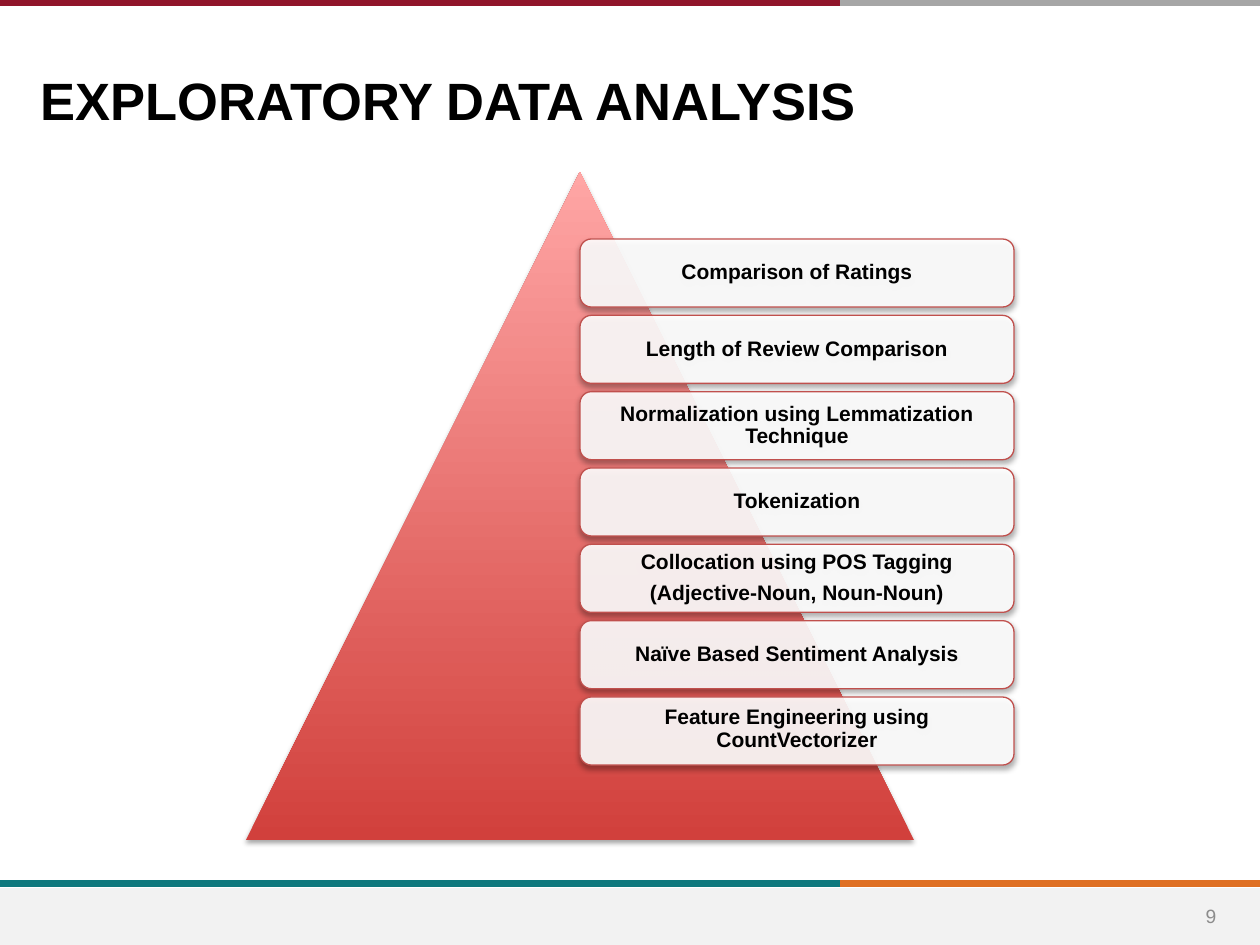
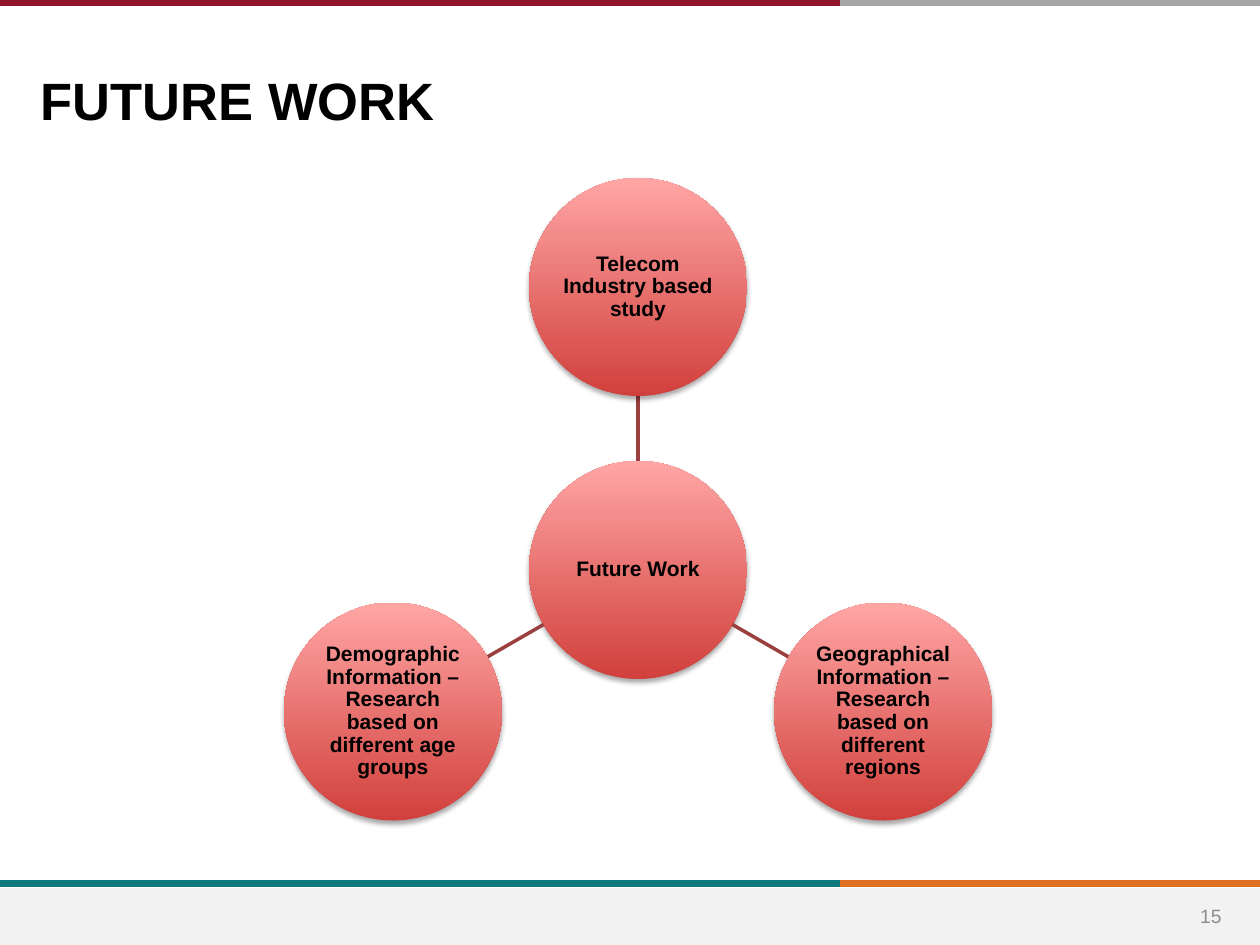
"""Build two analysis slides: a pyramid of steps and a wheel of future work."""
import dataclasses
import math

import lxml.etree
import pptx
import pptx.dml.color
import pptx.enum.shapes
import pptx.enum.text
import pptx.oxml.ns
import pptx.util

PX = 914400 / 126
SLIDE_SIZE = (1260, 945)
SHAPES = pptx.enum.shapes.MSO_SHAPE
ANCHOR = pptx.enum.text.MSO_ANCHOR
ALIGN = pptx.enum.text.PP_ALIGN


@dataclasses.dataclass(frozen=True)
class Theme:
    font: str = "Arial"
    title_size: int = 30
    label_size: int = 12
    number_size: int = 11
    ink: str = "000000"
    number_ink: str = "8C8C8C"
    footer: str = "F2F2F2"
    crimson: str = "90152A"
    grey: str = "A6A6A6"
    teal: str = "0F787D"
    orange: str = "DF7023"
    red_deep: str = "D1403C"
    red_light: str = "FFA6A5"
    card: str = "FFFFFF"
    card_edge: str = "C0504D"
    spoke: str = "9A403E"


THEME = Theme()

STEPS = [
    ["Comparison of Ratings"],
    ["Length of Review Comparison"],
    ["Normalization using Lemmatization Technique"],
    ["Tokenization"],
    ["Collocation using POS Tagging", "(Adjective-Noun, Noun-Noun)"],
    ["Naïve Based Sentiment Analysis"],
    ["Feature Engineering using CountVectorizer"],
]

DIRECTIONS = [
    (-90, "Telecom Industry based study"),
    (30, "Geographical Information – Research based on different regions"),
    (150, "Demographic Information – Research based on different age groups"),
]


def emu(*lengths):
    return [pptx.util.Emu(round(length * PX)) for length in lengths]


def rgb(code):
    return pptx.dml.color.RGBColor.from_string(code)


def set_formats(target, formats):
    for name, value in formats.items():
        setattr(target, name, value)


def add_xml(parent, tag, **attributes):
    return lxml.etree.SubElement(parent, pptx.oxml.ns.qn(tag), attributes)


def write(holder, paragraphs, size, color, bold=False, align=ALIGN.CENTER,
          anchor=ANCHOR.MIDDLE, margins=(0, 0, 0, 0), spacing=1.0):
    left, top, right, bottom = emu(*margins)
    frame = holder.text_frame
    set_formats(frame, {
        "word_wrap": True, "vertical_anchor": anchor, "margin_left": left,
        "margin_top": top, "margin_right": right, "margin_bottom": bottom,
    })
    for index, text in enumerate(paragraphs):
        paragraph = frame.add_paragraph() if index else frame.paragraphs[0]
        paragraph.text = text
        set_formats(paragraph, {"alignment": align, "line_spacing": spacing})
        if index:
            paragraph.space_before = pptx.util.Pt(5)
        font = paragraph.runs[0].font
        set_formats(font, {"name": THEME.font, "size": pptx.util.Pt(size), "bold": bold})
        font.color.rgb = rgb(color)


def write_label(holder, paragraphs, margin, anchor=ANCHOR.MIDDLE):
    write(holder, paragraphs, THEME.label_size, THEME.ink, bold=True,
          anchor=anchor, margins=(margin,) * 4, spacing=0.9)


def add_text(slide, box, text, size, color, **formats):
    write(slide.shapes.add_textbox(*emu(*box)), [text], size, color, **formats)


def add_plain(slide, kind, box, fill):
    shape = slide.shapes.add_shape(kind, *emu(*box))
    shape.shadow.inherit = False
    shape.fill.solid()
    shape.fill.fore_color.rgb = rgb(fill)
    shape.line.fill.background()
    return shape


def add_shadow(shape):
    effects = shape._element.spPr.find(pptx.oxml.ns.qn("a:effectLst"))
    shadow = add_xml(effects, "a:outerShdw", blurRad=str(pptx.util.Pt(3.1)),
                     dist=str(pptx.util.Pt(1.8)), dir="5400000", rotWithShape="0")
    color = add_xml(shadow, "a:srgbClr", val=THEME.ink)
    add_xml(color, "a:alpha", val="35000")


def add_red_shape(slide, kind, box):
    shape = add_plain(slide, kind, box, THEME.red_deep)
    shape.fill.gradient()
    shape.fill.gradient_angle = 90
    for stop, color in zip(shape.fill.gradient_stops, (THEME.red_deep, THEME.red_light)):
        stop.color.rgb = rgb(color)
    add_shadow(shape)
    return shape


def add_card(slide, box, paragraphs, anchor):
    card = add_plain(slide, SHAPES.ROUNDED_RECTANGLE, box, THEME.card)
    color = card._element.spPr.find(".//" + pptx.oxml.ns.qn("a:srgbClr"))
    add_xml(color, "a:alpha", val="90000")
    card.line.color.rgb = rgb(THEME.card_edge)
    card.line.width = pptx.util.Pt(0.75)
    add_shadow(card)
    write_label(card, paragraphs, 6, anchor)


def add_line(slide, start, end, color, width):
    line = slide.shapes.add_connector(
        pptx.enum.shapes.MSO_CONNECTOR.STRAIGHT, *emu(*start, *end))
    line.line.color.rgb = rgb(color)
    line.line.width = pptx.util.Pt(width)
    add_xml(line._element.spPr, "a:effectLst")


def add_band(slide, y, left_color, right_color):
    split, right = 840, SLIDE_SIZE[0]
    add_line(slide, (split, y), (right, y), right_color, 4)
    add_line(slide, (0, y), (split, y), left_color, 4)


def add_base(deck, title, number):
    slide = deck.slides.add_slide(deck.slide_layouts[6])
    add_band(slide, 884, THEME.teal, THEME.orange)
    add_plain(slide, SHAPES.RECTANGLE, (0, 888, SLIDE_SIZE[0], 57), THEME.footer)
    add_band(slide, 3, THEME.crimson, THEME.grey)
    add_text(slide, (1178, 891, 66, 50), str(number), THEME.number_size, THEME.number_ink)
    add_text(slide, (32, 58, 1007, 74), title, THEME.title_size, THEME.ink, bold=True,
             align=ALIGN.LEFT, anchor=ANCHOR.TOP, margins=(9, 10, 9, 0))
    return slide


def add_pyramid(slide):
    side, apex_x = 668, 580
    add_red_shape(slide, SHAPES.ISOSCELES_TRIANGLE, (apex_x - side / 2, 172, side, side))
    first_top, last_top = 239, 697
    pitch = (last_top - first_top) / (len(STEPS) - 1)
    for index, step in enumerate(STEPS):
        anchor = ANCHOR.TOP if step is STEPS[-1] else ANCHOR.MIDDLE
        add_card(slide, (apex_x, first_top + index * pitch, 434, 68), step, anchor)


def add_disc(slide, center, radius, text):
    x, y = center
    disc = add_red_shape(slide, SHAPES.OVAL, (x - radius, y - radius, 2 * radius, 2 * radius))
    write_label(disc, [text], 1)


def add_wheel(slide):
    hub, orbit, radius = (638, 570), 283, 109

    def at(angle, distance):
        turn = math.radians(angle)
        return hub[0] + distance * math.cos(turn), hub[1] + distance * math.sin(turn)

    add_disc(slide, hub, radius, "Future Work")
    for angle, text in DIRECTIONS:
        add_line(slide, at(angle, radius), at(angle, orbit - radius), THEME.spoke, 2)
        add_disc(slide, at(angle, orbit), radius, text)


def main():
    deck = pptx.Presentation()
    deck.slide_width, deck.slide_height = emu(*SLIDE_SIZE)
    add_pyramid(add_base(deck, "EXPLORATORY DATA ANALYSIS", 9))
    add_wheel(add_base(deck, "FUTURE WORK", 15))
    deck.save("out.pptx")


if __name__ == "__main__":
    main()
